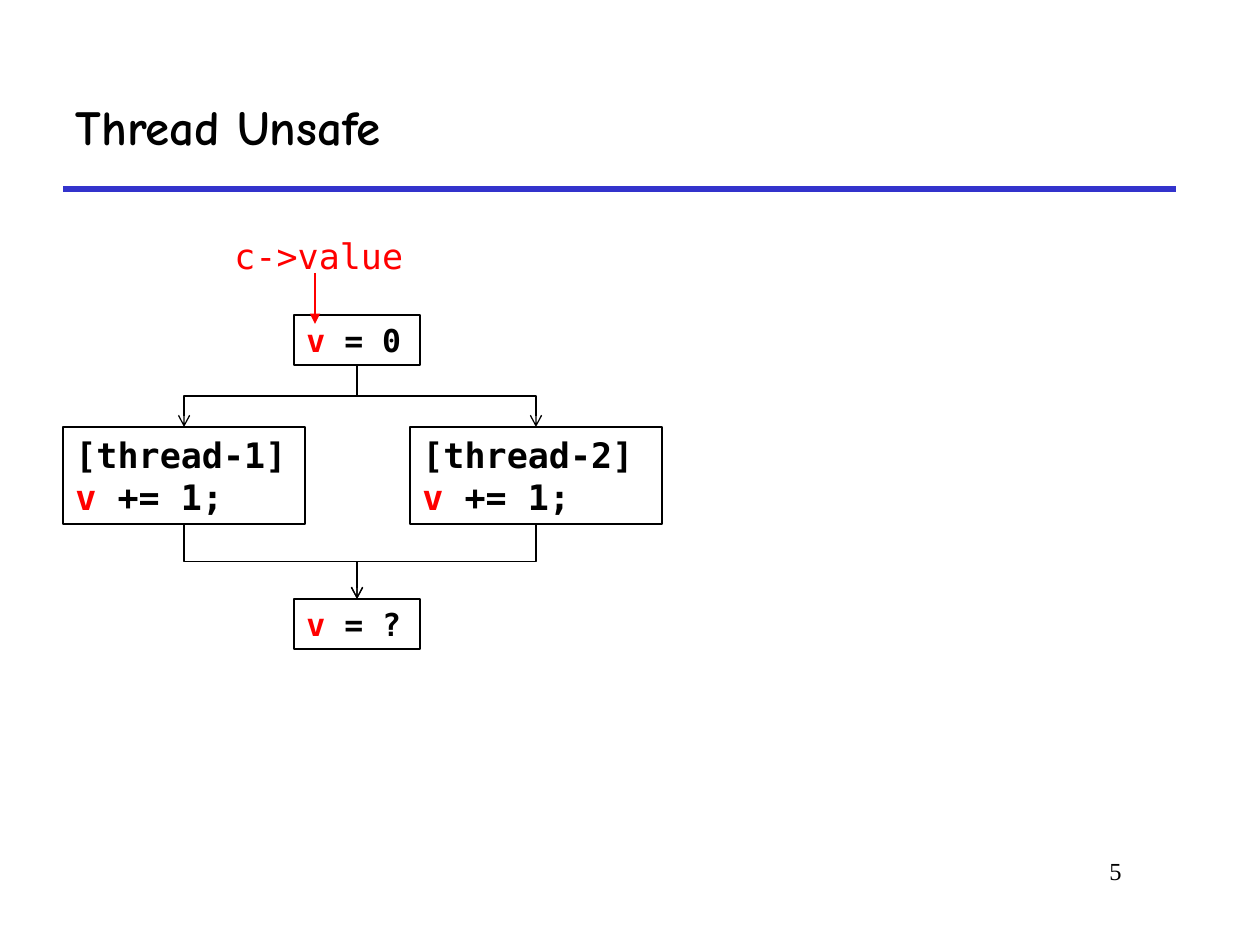
import pptx
import pptx.util
import pptx.dml.color
import pptx.enum.shapes
import pptx.enum.text
import pptx.oxml.ns
import lxml.etree

EMU_PER_PX = 914400 / 126
BLACK = pptx.dml.color.RGBColor(0x00, 0x00, 0x00)
RED = pptx.dml.color.RGBColor(0xFF, 0x00, 0x00)
BLUE = pptx.dml.color.RGBColor(0x33, 0x33, 0xCC)
MONO = "DejaVu Sans Mono"
TOP, BOTTOM = 0, 2
CONNECTOR = pptx.enum.shapes.MSO_CONNECTOR
ALIGN = pptx.enum.text.PP_ALIGN
ANCHOR = pptx.enum.text.MSO_ANCHOR
AUTO = pptx.enum.text.MSO_AUTO_SIZE


def px(n):
    return pptx.util.Emu(round(n * EMU_PER_PX))


def place(sp, x, y, w, h):
    sp.left, sp.top, sp.width, sp.height = px(x), px(y), px(w), px(h)


def write(tf, lines, size, font, bold=False, align=ALIGN.LEFT):
    for i, line in enumerate(lines):
        p = tf.add_paragraph() if i else tf.paragraphs[0]
        p.alignment = align
        for text, color in line:
            r = p.add_run()
            r.text = text
            r.font.size = pptx.util.Pt(size)
            r.font.name = font
            r.font.bold = bold
            r.font.color.rgb = color


def add_text(s, x, y, w, h, text, size, font, color, align=ALIGN.LEFT, wrap=True):
    sp = s.shapes.add_textbox(px(x), px(y), px(w), px(h))
    sp.text_frame.word_wrap = wrap
    write(sp.text_frame, [[(text, color)]], size, font, align=align)


def style_line(c, color, width, tail=None):
    c.line.color.rgb = color
    c.line.width = pptx.util.Pt(width)
    if tail:
        end = lxml.etree.SubElement(c.line._get_or_add_ln(), pptx.oxml.ns.qn("a:tailEnd"))
        end.set("type", tail)
    lxml.etree.SubElement(c._element.spPr, pptx.oxml.ns.qn("a:effectLst"))


def add_line(s, x1, y1, x2, y2, color, width, tail=None):
    c = s.shapes.add_connector(CONNECTOR.STRAIGHT, px(x1), px(y1), px(x2), px(y2))
    style_line(c, color, width, tail)


def add_box(s, x, y, w, h, lines, size):
    sp = s.shapes.add_shape(pptx.enum.shapes.MSO_SHAPE.RECTANGLE, px(x), px(y), px(w), px(h))
    sp.shadow.inherit = False
    sp.fill.background()
    sp.line.color.rgb = BLACK
    sp.line.width = pptx.util.Pt(0.75)
    tf = sp.text_frame
    tf.word_wrap = True
    tf.auto_size = AUTO.SHAPE_TO_FIT_TEXT
    tf.vertical_anchor = ANCHOR.TOP
    write(tf, lines, size, MONO, bold=True)
    return sp


def join_down(s, upper, lower):
    c = s.shapes.add_connector(CONNECTOR.ELBOW, 0, 0, 0, 0)
    c.begin_connect(upper, BOTTOM)
    c.end_connect(lower, TOP)
    x1, y1 = upper.left + upper.width // 2, upper.top + upper.height
    x2, y2 = lower.left + lower.width // 2, lower.top
    run, drop = abs(x2 - x1), y2 - y1
    c.left, c.top = (x1 + x2 - drop) // 2, (y1 + y2 - run) // 2
    c.width, c.height = drop, run
    xfrm = c._element.spPr.find(pptx.oxml.ns.qn("a:xfrm"))
    xfrm.attrib.clear()
    xfrm.set("rot", "5400000" if x2 < x1 else "16200000")
    if x2 > x1:
        xfrm.set("flipH", "1")
    style_line(c, BLACK, 0.75, "arrow")


def add_header(s, x, y, w, h):
    title = s.shapes.title
    place(title, x, y, w, h)
    title.text_frame.vertical_anchor = ANCHOR.MIDDLE
    write(title.text_frame, [[("Thread Unsafe", BLACK)]], 28, "Comic Neue", bold=True)
    add_line(s, x, y + h, x + w, y + h, BLUE, 3)


def add_thread_diagram(s, x, y):
    threads = [
        add_box(s, x + left, y + 199, w, 97,
                [[(name, BLACK)], [("v", RED), (" += 1;", BLACK)]], 20)
        for left, w, name in ((0, 242, "[thread-1]"), (347, 252, "[thread-2]"))
    ]
    start, finish = [
        add_box(s, x + 231, y + top, 126, 50, [[("v", RED), (value, BLACK)]], 18)
        for top, value in ((87, " = 0"), (371, " = ?"))
    ]
    for thread in threads:
        join_down(s, start, thread)
        join_down(s, thread, finish)
    add_text(s, x + 159, y, 194, 55, "c->value", 20, MONO, RED, wrap=False)
    add_line(s, x + 252, y + 45, x + 252, y + 96, RED, 0.75, "triangle")


def add_page_number(s, x, y, w, h):
    add_text(s, x, y, w, h, "5", 14, "Times New Roman", BLACK, align=ALIGN.RIGHT)


def main():
    prs = pptx.Presentation()
    prs.slide_width, prs.slide_height = px(1260), px(945)
    s = prs.slides.add_slide(prs.slide_layouts[5])
    add_header(s, 63, 63, 1113, 126)
    add_thread_diagram(s, 63, 228)
    add_page_number(s, 955, 850, 179, 63)
    prs.save("out.pptx")


if __name__ == "__main__":
    main()
